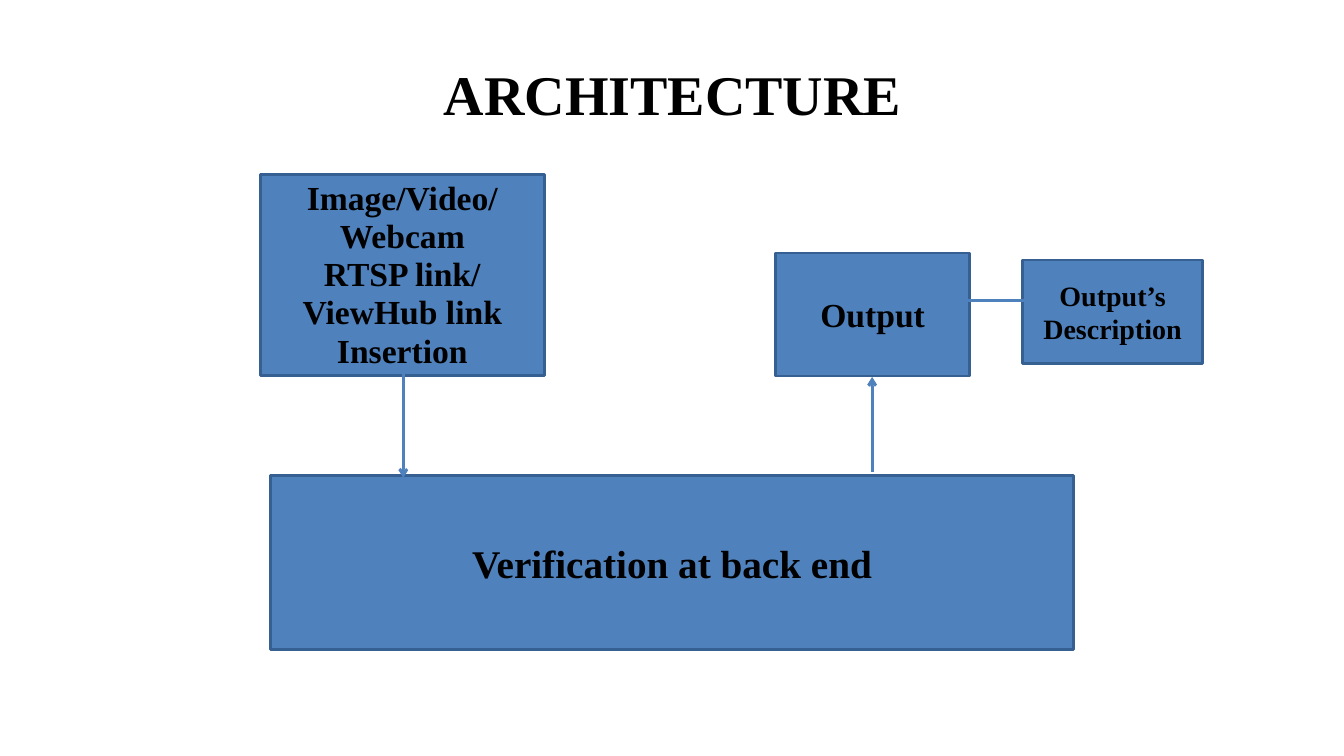
from lxml.etree import SubElement as Sub
from pptx import Presentation as Deck
from pptx.dml.color import RGBColor as Color
from pptx.enum.shapes import MSO_CONNECTOR as Link, MSO_SHAPE as Form
from pptx.enum.text import MSO_ANCHOR as Anchor, PP_ALIGN as Align
from pptx.oxml.ns import qn
from pptx.util import Inches, Pt

BLACK = Color(0, 0, 0)
BLUE = Color(0x4F, 0x81, 0xBD)
NAVY = Color(0x37, 0x60, 0x92)
FONT = "Times New Roman"


def write(frame, text, size=24, space=1.0):
    frame.text = text
    frame.word_wrap = True
    frame.vertical_anchor = Anchor.MIDDLE
    for para in frame.paragraphs:
        para.alignment = Align.CENTER
        para.line_spacing = space
        font = para.runs[0].font
        font.name, font.size, font.bold = FONT, Pt(size), True
        font.color.rgb = BLACK


def add_box(slide, place, text, **style):
    box = slide.shapes.add_shape(Form.RECTANGLE, *map(Inches, place))
    box.shadow.inherit = False
    box.fill.solid()
    box.fill.fore_color.rgb = BLUE
    box.line.color.rgb = NAVY
    box.line.width = Pt(2)
    write(box.text_frame, text, **style)


def add_link(slide, start, end, arrow=True):
    link = slide.shapes.add_connector(Link.STRAIGHT, *map(Inches, start + end))
    link.line.color.rgb = BLUE
    link.line.width = Pt(2)
    if arrow:
        Sub(link.line._get_or_add_ln(), qn("a:tailEnd"), type="arrow")
    Sub(link._element.spPr, qn("a:effectLst"))


def add_title(slide, text):
    title = slide.shapes.title
    title.left, title.top = Inches(0.67), Inches(0.3)
    title.width, title.height = Inches(12), Inches(1.25)
    write(title.text_frame, text, size=40)


def main():
    deck = Deck()
    deck.slide_width, deck.slide_height = Inches(13.33), Inches(7.5)
    slide = deck.slides.add_slide(deck.slide_layouts[5])
    add_title(slide, "ARCHITECTURE")
    add_box(slide, (2.58, 1.73, 2.82, 2),
            "Image/Video/\nWebcam\nRTSP link/\nViewHub link Insertion", space=0.95)
    add_box(slide, (7.69, 2.51, 1.93, 1.22), "Output")
    add_box(slide, (2.68, 4.72, 7.97, 1.72), "Verification at back end", size=28)
    add_link(slide, (4, 3.71), (4, 4.74))
    add_link(slide, (8.65, 4.68), (8.65, 3.74))
    add_box(slide, (10.14, 2.58, 1.79, 1.03), "Output’s Description", size=20)
    add_link(slide, (9.6, 2.98), (10.24, 2.98), arrow=False)
    deck.save("out.pptx")


if __name__ == "__main__":
    main()
